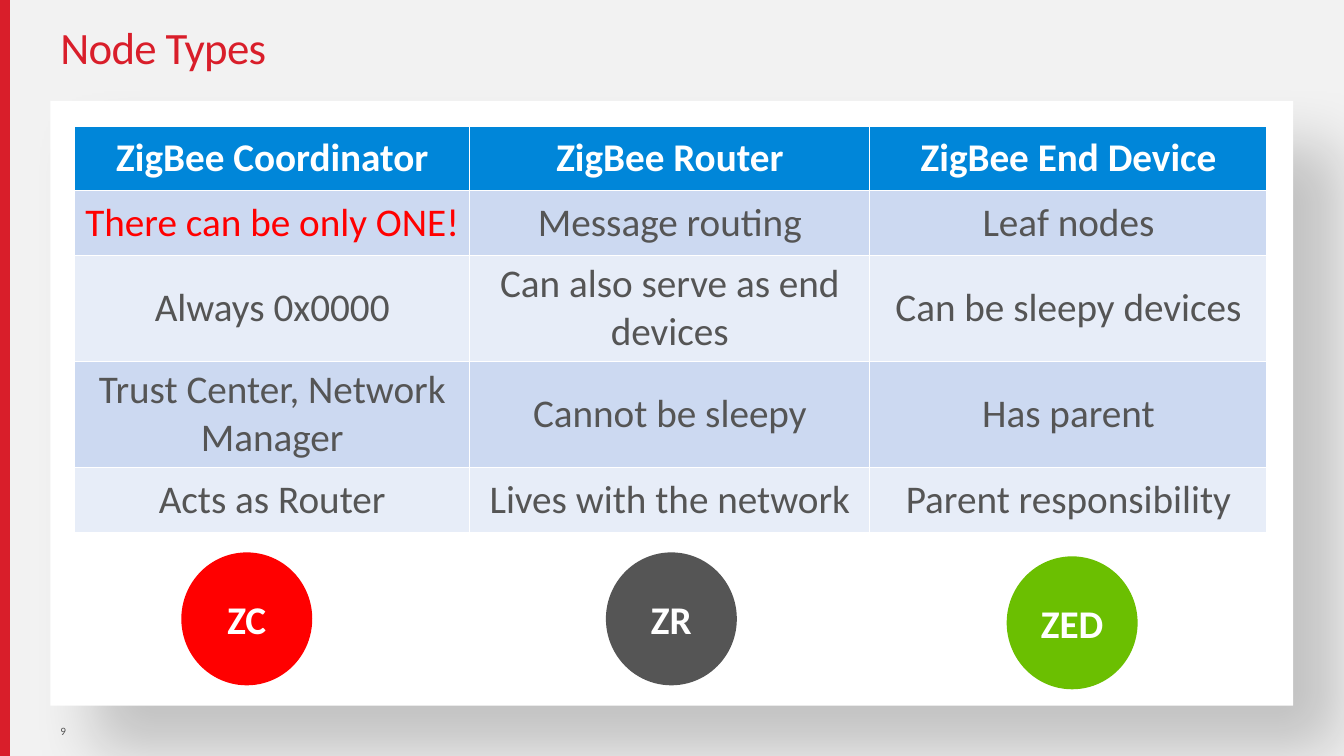
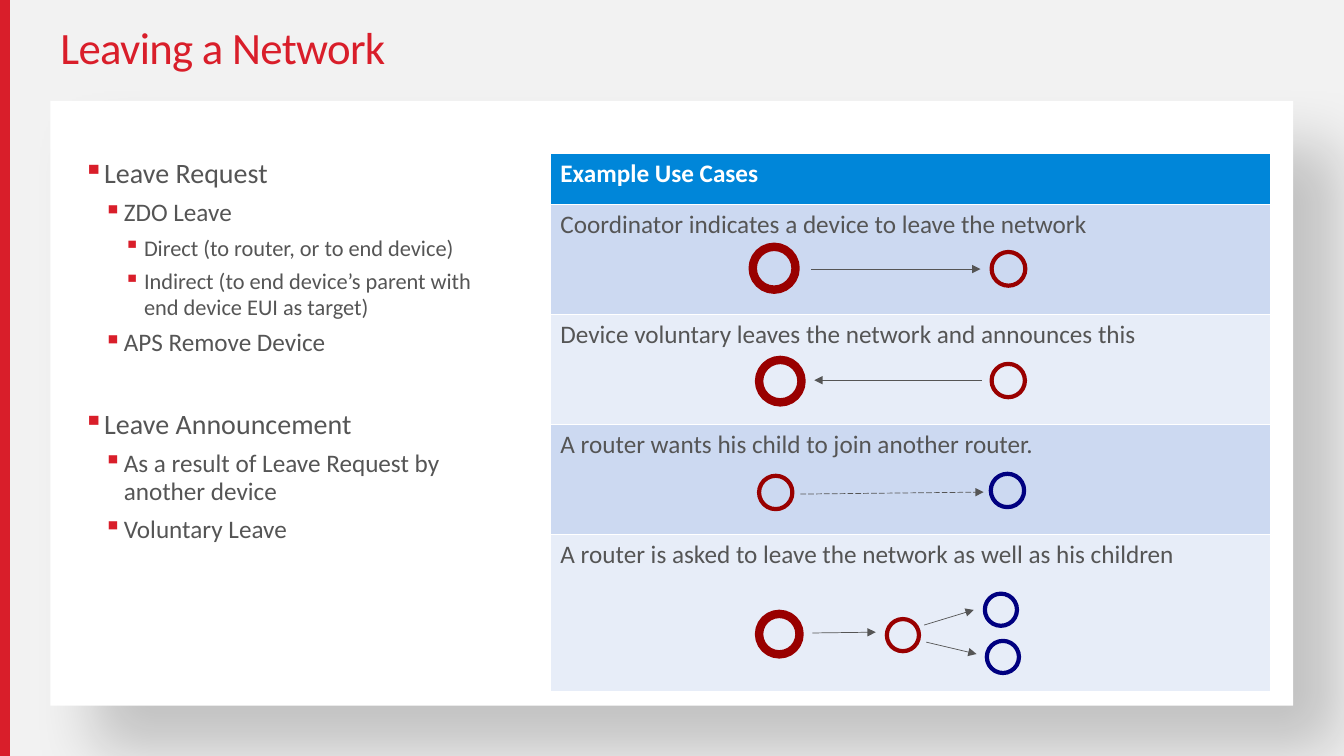
from lxml.etree import SubElement
from pptx import Presentation
from pptx.dml.color import RGBColor
from pptx.enum.dml import MSO_LINE
from pptx.enum.shapes import MSO_CONNECTOR as CONNECTOR, MSO_SHAPE as SHAPE
from pptx.enum.text import MSO_ANCHOR as ANCHOR, MSO_AUTO_SIZE as AUTO_SIZE, PP_ALIGN as ALIGN
from pptx.oxml import parse_xml
from pptx.oxml.ns import nsdecls, qn
from pptx.util import Cm, Pt

FONT = "Calibri"
RED, GREY, WHITE, PALE = "D91E2A", "555555", "FFFFFF", "F2F2F2"
BLUE, ROW_DARK, ROW_LIGHT = "0086D9", "CCD9F1", "E7EDF8"
ALERT, GREEN, MAROON, NAVY = "FF0000", "6BBF01", "990000", "000080"


def paint(fill, color):
    fill.solid()
    fill.fore_color.rgb = RGBColor.from_string(color)


def write(frame, text, size=18, color=GREY, bold=False, align=ALIGN.LEFT,
          line_spacing=None, before=None, tracking=None):
    """Fill the frame's empty first paragraph, or add a paragraph."""
    para = frame.paragraphs[-1]
    if para.runs:
        para = frame.add_paragraph()
    para.alignment = align
    para.line_spacing = line_spacing
    if before is not None:
        para.space_before = Pt(before)
    span = para.add_run()
    span.text = text
    span.font.name, span.font.size, span.font.bold = FONT, Pt(size), bold
    paint(span.font.fill, color)
    if tracking is not None:
        span.font._element.set("spc", str(tracking))
    return para


deck = Presentation()
deck.slide_width, deck.slide_height = Cm(33.87), Cm(19.05)

# Shared layout: background and title place
layout = deck.slide_layouts.get_by_name("Title Only")
paint(layout.background.fill, PALE)
for holder in list(layout.placeholders):
    if holder.placeholder_format.idx == 0:
        holder.left, holder.top = Cm(1.27), Cm(0)
        holder.width, holder.height = Cm(31.32), Cm(2.54)
    else:
        holder.element.getparent().remove(holder.element)

# Titles
pages = []
for title in ("Node Types", "Leaving a Network"):
    page = deck.slides.add_slide(layout)
    frame = page.shapes.title.text_frame
    frame.auto_size, frame.vertical_anchor = AUTO_SIZE.NONE, ANCHOR.MIDDLE
    write(frame, title, size=32, color=RED, line_spacing=0.9, tracking=-50)
    pages.append(page)
types_page, leaving_page = pages

# Red band and white card, moved to the layout
for order, (left, top, width, height, color) in enumerate((
        (0, 0, 0.25, 19.05, RED), (1.27, 2.54, 31.32, 15.24, WHITE))):
    panel = types_page.shapes.add_shape(
        SHAPE.RECTANGLE, Cm(left), Cm(top), Cm(width), Cm(height))
    paint(panel.fill, color)
    panel.line.fill.background()
    panel.shadow.inherit = False
    if color == WHITE:
        effects = panel.element.spPr.find(qn("a:effectLst"))
        effects.append(parse_xml(
            f'<a:outerShdw {nsdecls("a")} blurRad="{Pt(45)}" dist="{Pt(45)}" '
            'dir="2700000" algn="tl" rotWithShape="0"><a:srgbClr val="000000">'
            '<a:alpha val="20000"/></a:srgbClr></a:outerShdw>'))
    layout.shapes.element.insert(2 + order, panel.element)

# Tables
node_rows = (
    ("ZigBee Coordinator", "ZigBee Router", "ZigBee End Device"),
    ("There can be only ONE!", "Message routing", "Leaf nodes"),
    ("Always 0x0000", "Can also serve as end devices", "Can be sleepy devices"),
    ("Trust Center, Network Manager", "Cannot be sleepy", "Has parent"),
    ("Acts as Router", "Lives with the network", "Parent responsibility"),
)
case_rows = (
    ("Example Use Cases",),
    ("Coordinator indicates a device to leave the network",),
    ("Device voluntary leaves the network and announces this",),
    ("A router wants his child to join another router.",),
    ("A router is asked to leave the network as well as his children",),
)
for page, rows, left, top, widths, heights, size, align, anchor in (
        (types_page, node_rows, 1.88, 3.18, (9.96, 10.08, 10.01),
         (1.63, 1.63, 2.39, 2.39, 1.63), 28, ALIGN.CENTER, ANCHOR.MIDDLE),
        (leaving_page, case_rows, 13.87, 3.86, (18.14,),
         (1.3, 2.77, 2.77, 2.77, 3.96), 18, ALIGN.LEFT, ANCHOR.TOP)):
    table = page.shapes.add_table(
        len(rows), len(widths), Cm(left), Cm(top),
        Cm(sum(widths)), Cm(sum(heights))).table
    for column, width in zip(table.columns, widths):
        column.width = Cm(width)
    for index, (texts, height) in enumerate(zip(rows, heights)):
        table.rows[index].height = Cm(height)
        header = index == 0
        band = BLUE if header else (ROW_LIGHT, ROW_DARK)[index % 2]
        for cell, text in zip(table.rows[index].cells, texts):
            paint(cell.fill, band)
            cell.vertical_anchor = anchor
            color = WHITE if header else ALERT if "ONE!" in text else GREY
            write(cell.text_frame, text, size=size, color=color,
                  bold=header, align=align)

# Node type badges
for label, left, top, color in (("ZC", 4.57, 13.92, ALERT),
                                ("ZR", 15.27, 13.92, GREY),
                                ("ZED", 25.37, 14.02, GREEN)):
    badge = types_page.shapes.add_shape(
        SHAPE.OVAL, Cm(left), Cm(top), Cm(3.3), Cm(3.35))
    paint(badge.fill, color)
    badge.line.fill.background()
    badge.shadow.inherit = False
    badge.text_frame.vertical_anchor = ANCHOR.MIDDLE
    write(badge.text_frame, label, size=28, color=WHITE, bold=True,
          align=ALIGN.CENTER)

# Page number
box = types_page.shapes.add_textbox(Cm(1.27), Cm(17.78), Cm(0.89), Cm(1.27))
frame = box.text_frame
frame.word_wrap, frame.vertical_anchor = True, ANCHOR.MIDDLE
frame.margin_right = 0
write(frame, "9", size=8)

# Bulleted list: level, space before, text
box = leaving_page.shapes.add_textbox(Cm(1.85), Cm(3.86), Cm(11), Cm(13.54))
box.text_frame.word_wrap = True
for level, before, text in (
        (0, 12, "Leave Request"),
        (1, 6, "ZDO Leave"),
        (2, 6, "Direct (to router, or to end device)"),
        (2, 6, "Indirect (to end device’s parent with end device EUI as target)"),
        (1, 6, "APS Remove Device"),
        (0, 36.5, "Leave Announcement"),
        (1, 6, "As a result of Leave Request by another device"),
        (1, 6, "Voluntary Leave")):
    para = write(box.text_frame, text, size=20 - 2 * level,
                 line_spacing=0.95, before=before)
    para.level = level
    properties = para._p.get_or_add_pPr()
    properties.set("marL", str(Cm(0.51 * (level + 1))))
    properties.set("indent", str(-Cm(0.51)))
    SubElement(SubElement(properties, qn("a:buClr")), qn("a:srgbClr"), val=RED)
    SubElement(properties, qn("a:buChar"), char="▪")

# Use case diagrams: nodes (left, top, size, colour, line width), arrows, dash
diagrams = (
    (((18.97, 6.22, 1.08, MAROON, 6), (24.99, 6.35, 0.85, MAROON, 3)),
     ((20.45, 6.78, 24.71, 6.78),), None),
    (((19.13, 9.07, 1.07, MAROON, 6), (24.99, 9.17, 0.84, MAROON, 3)),
     ((24.74, 9.58, 20.52, 9.58),), None),
    (((19.13, 11.99, 0.84, MAROON, 3), (24.97, 11.94, 0.84, NAVY, 3)),
     ((20.17, 12.45, 24.79, 12.4),), MSO_LINE.LONG_DASH),
    (((19.13, 15.47, 1.02, MAROON, 6), (22.35, 15.6, 0.81, MAROON, 3),
      (24.82, 14.96, 0.81, NAVY, 3), (24.87, 16.15, 0.81, NAVY, 3)),
     ((20.47, 15.95, 22.07, 15.93), (23.29, 15.75, 24.54, 15.37),
      (23.34, 16.18, 24.61, 16.48)), None),
)
for nodes, arrows, dash in diagrams:
    group = leaving_page.shapes.add_group_shape()
    for left, top, size, color, weight in nodes:
        node = group.shapes.add_shape(
            SHAPE.OVAL, Cm(left), Cm(top), Cm(size), Cm(size))
        node.fill.background()
        paint(node.line.fill, color)
        node.line.width = Pt(weight)
        node.shadow.inherit = False
    for ends in arrows:
        arrow = group.shapes.add_connector(
            CONNECTOR.STRAIGHT, *(Cm(end) for end in ends))
        paint(arrow.line.fill, GREY)
        arrow.line.width = Pt(0.5)
        if dash:
            arrow.line.dash_style = dash
        SubElement(arrow.line._get_or_add_ln(), qn("a:tailEnd"), type="triangle")
        SubElement(arrow.element.spPr, qn("a:effectLst"))

deck.save("out.pptx")
